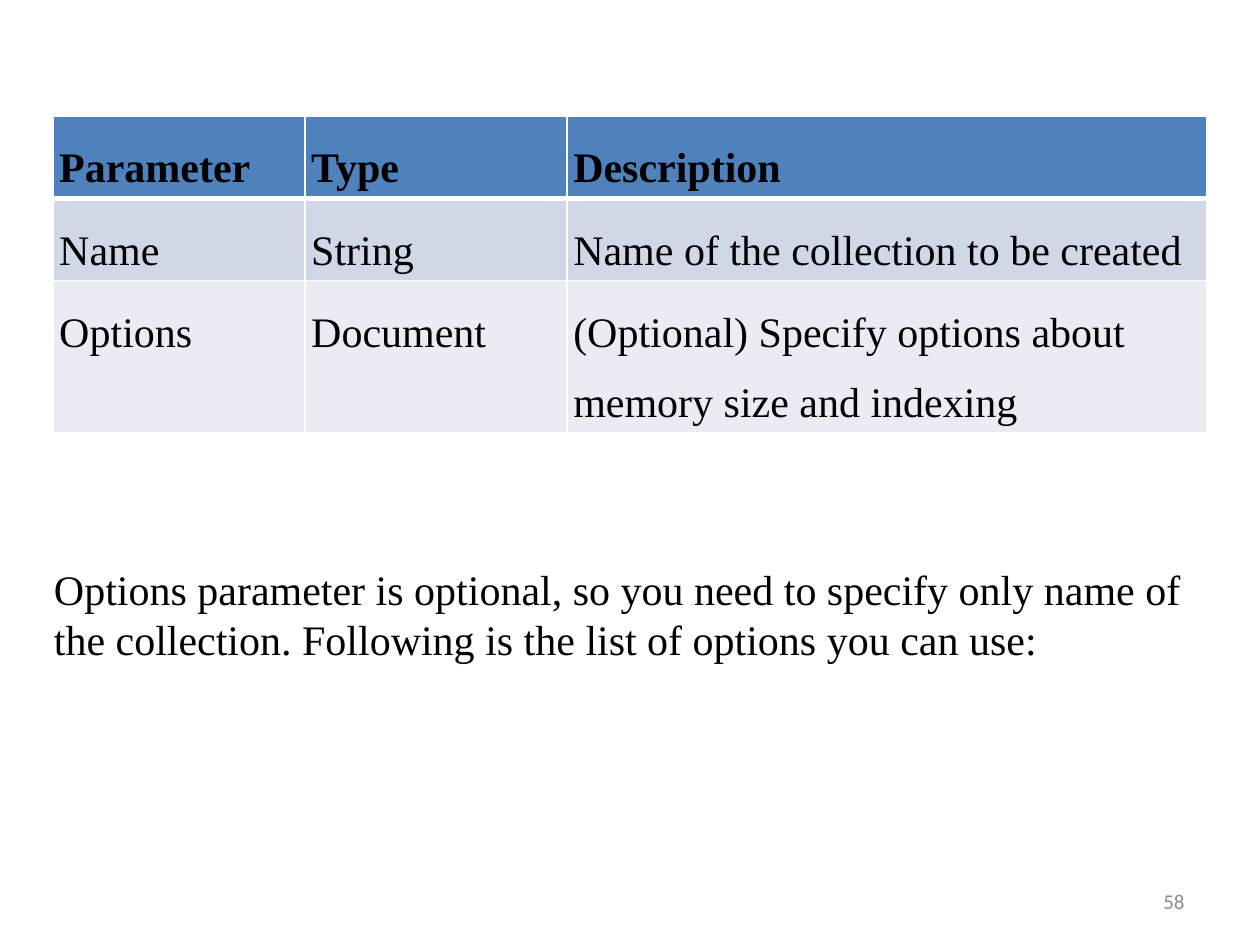
import pptx
import pptx.dml.color
import pptx.enum.text
import pptx.oxml
import pptx.oxml.ns
import pptx.util
from pptx.util import Inches

BLACK = pptx.dml.color.RGBColor(0x00, 0x00, 0x00)
GRAY = pptx.dml.color.RGBColor(0x8B, 0x8B, 0x8B)
WHITE = pptx.dml.color.RGBColor(0xFF, 0xFF, 0xFF)
ROW_FILLS = [
    pptx.dml.color.RGBColor(0x4F, 0x81, 0xBD),
    pptx.dml.color.RGBColor(0xD0, 0xD8, 0xE7),
    pptx.dml.color.RGBColor(0xE9, 0xEC, 0xF3),
]
BODY_FONT = "Times New Roman"
NUMBER_FONT = "Calibri"
THIN, THICK = 0.96, 3

PARAMETERS = [
    ("Parameter", "Type", "Description"),
    ("Name", "String", "Name of the collection to be created"),
    ("Options", "Document", "(Optional) Specify options about memory size and indexing"),
]
COLUMN_WIDTHS = [2, 2.08, 5.08]
ROW_HEIGHTS = [0.47, 0.47, 1.03]


def write_text(text_frame, text, font_name, size, color, bold=False):
    text_frame.text = text
    paragraph = text_frame.paragraphs[0]
    font = paragraph.runs[0].font
    font.name = font_name
    font.size = pptx.util.Pt(size)
    font.bold = bold
    font.color.rgb = color
    return paragraph


def set_border(cell, side, width):
    line = pptx.oxml.parse_xml(
        f'<a:{side} {pptx.oxml.ns.nsdecls("a")} w="{int(pptx.util.Pt(width))}">'
        f'<a:solidFill><a:srgbClr val="{WHITE}"/></a:solidFill></a:{side}>'
    )
    cell._tc.get_or_add_tcPr().append(line)


def format_cell(cell, text, row_index):
    is_header = row_index == 0
    paragraph = write_text(cell.text_frame, text, BODY_FONT, 24, BLACK, is_header)
    paragraph.line_spacing = 1.5
    cell.margin_left = cell.margin_right = Inches(0.05)
    cell.margin_top = cell.margin_bottom = Inches(0.05)
    set_border(cell, "lnL", THIN)
    set_border(cell, "lnR", THIN)
    set_border(cell, "lnT", THICK if row_index == 1 else THIN)
    set_border(cell, "lnB", THICK if is_header else THIN)
    cell.fill.solid()
    cell.fill.fore_color.rgb = ROW_FILLS[row_index]


def add_parameter_table(slide, left, top, width, height):
    table = slide.shapes.add_table(
        len(PARAMETERS), len(COLUMN_WIDTHS), left, top, width, height
    ).table
    for column, column_width in zip(table.columns, COLUMN_WIDTHS):
        column.width = int(width * column_width / sum(COLUMN_WIDTHS))
    for row_index, (row, texts) in enumerate(zip(table.rows, PARAMETERS)):
        row.height = int(height * ROW_HEIGHTS[row_index] / sum(ROW_HEIGHTS))
        for cell, text in zip(row.cells, texts):
            format_cell(cell, text, row_index)


def add_text(slide, left, top, width, height, text, font_name, size, color):
    text_frame = slide.shapes.add_textbox(left, top, width, height).text_frame
    text_frame.word_wrap = True
    text_frame.vertical_anchor = pptx.enum.text.MSO_ANCHOR.MIDDLE
    return write_text(text_frame, text, font_name, size, color)


def add_explanation(slide, left, top, width, height):
    add_text(
        slide, left, top, width, height,
        "Options parameter is optional, so you need to specify only name of "
        "the collection. Following is the list of options you can use:",
        BODY_FONT, 24, BLACK,
    )


def add_page_number(slide, left, top, width, height):
    paragraph = add_text(
        slide, left, top, width, height, "58", NUMBER_FONT, 12, GRAY
    )
    paragraph.alignment = pptx.enum.text.PP_ALIGN.RIGHT


def main():
    presentation = pptx.Presentation()
    presentation.slide_width = Inches(10)
    presentation.slide_height = Inches(7.5)
    slide = presentation.slides.add_slide(presentation.slide_layouts[6])
    add_parameter_table(slide, Inches(0.42), Inches(0.92), Inches(9.16), Inches(1.97))
    add_explanation(slide, Inches(0.33), Inches(4.42), Inches(9.33), Inches(0.9))
    add_page_number(slide, Inches(7.17), Inches(6.95), Inches(2.33), Inches(0.4))
    presentation.save("out.pptx")


if __name__ == "__main__":
    main()
